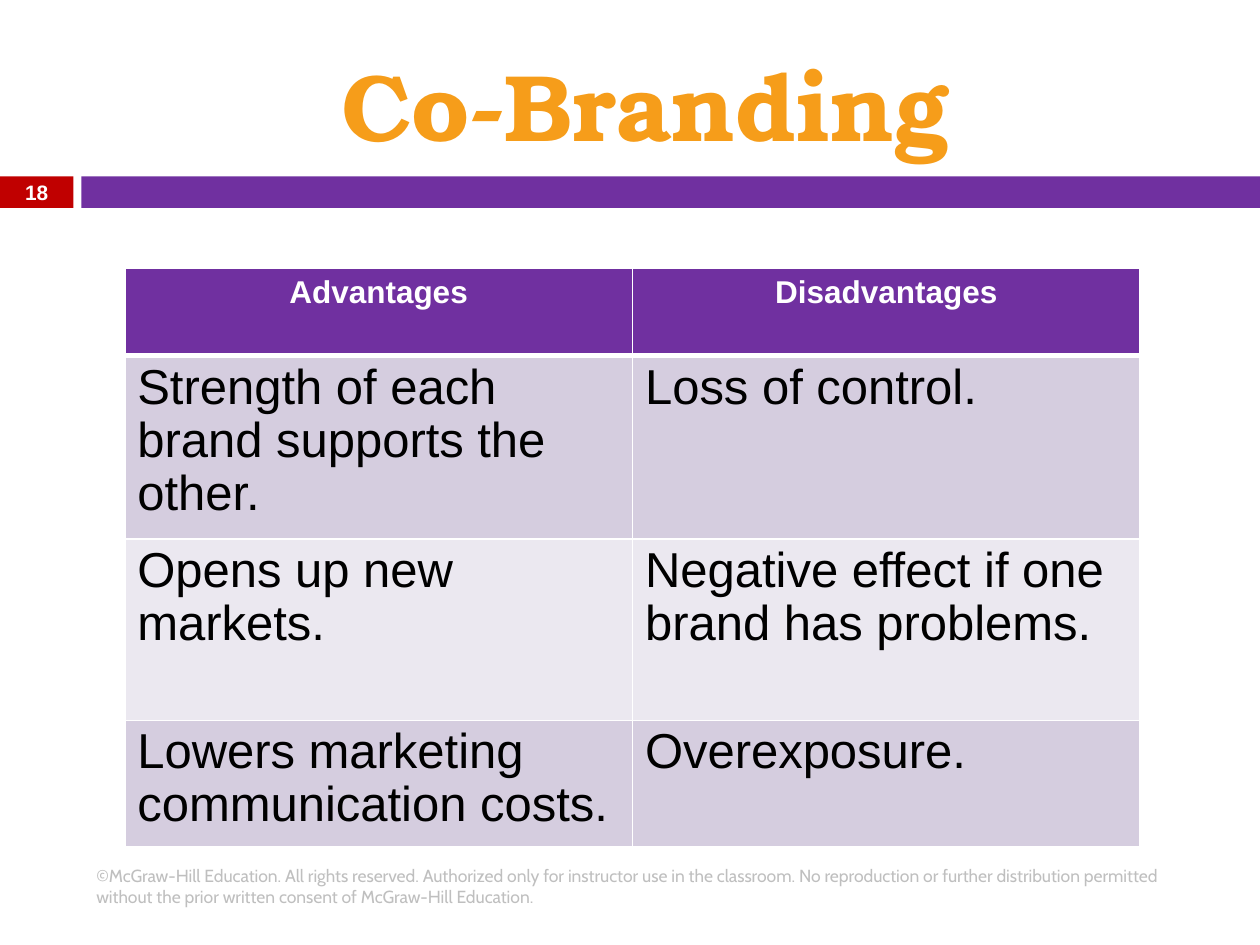
from lxml.etree import SubElement
from pptx import Presentation
from pptx.dml.color import RGBColor
from pptx.enum.shapes import MSO_SHAPE as Shape
from pptx.enum.text import MSO_ANCHOR as Anchor, PP_ALIGN as Align
from pptx.oxml.ns import qn
from pptx.util import Pt

WHITE = RGBColor(0xFF, 0xFF, 0xFF)
BLACK = RGBColor(0x00, 0x00, 0x00)
RED = RGBColor(0xC0, 0x00, 0x00)
PURPLE = RGBColor(0x70, 0x30, 0xA0)
ORANGE = RGBColor(0xF6, 0x9D, 0x1A)
GREY = RGBColor(0xBF, 0xBF, 0xBF)
BANDS = (RGBColor(0xD5, 0xCD, 0xDF), RGBColor(0xEB, 0xE8, 0xF0))

ROWS = (
    ("Advantages", "Disadvantages"),
    ("Strength of each brand supports the other.", "Loss of control."),
    ("Opens up new markets.", "Negative effect if one brand has problems."),
    ("Lowers marketing communication costs.", "Overexposure."),
)
ROW_HEIGHTS = (49.7, 101, 103.5, 69)
COPYRIGHT = (
    "©McGraw-Hill Education. All rights reserved. Authorized only for instructor use "
    "in the classroom. No reproduction or further distribution permitted without the "
    "prior written consent of McGraw-Hill Education."
)


class SlideBuilder:
    body_font = "Arial"
    title_font = "TeX Gyre Bonum"
    footer_font = "Cabin"

    def __init__(self, deck):
        self.page = deck.slides.add_slide(deck.slide_layouts[6])

    def bar(self, left, top, width, height, color):
        shape = self.page.shapes.add_shape(
            Shape.RECTANGLE, Pt(left), Pt(top), Pt(width), Pt(height))
        shape.shadow.inherit = False
        shape.fill.solid()
        shape.fill.fore_color.rgb = color
        shape.line.fill.background()

    def add_span(self, frame, text, font, size, color, bold=False, align=Align.LEFT):
        para = frame.paragraphs[0]
        para.alignment = align
        span = para.add_run()
        span.text = text
        span.font.name = font
        span.font.size = Pt(size)
        span.font.bold = bold
        span.font.color.rgb = color
        return para

    def text(self, left, top, width, height, text, *style, **options):
        box = self.page.shapes.add_textbox(Pt(left), Pt(top), Pt(width), Pt(height))
        frame = box.text_frame
        frame.word_wrap = True
        frame.vertical_anchor = Anchor.MIDDLE
        self.add_span(frame, text, *style, **options)

    def borders(self, cell, bottom):
        properties = cell._tc.get_or_add_tcPr()
        widths = {"a:lnL": 1, "a:lnR": 1, "a:lnT": 1, "a:lnB": bottom}
        for position, (tag, width) in enumerate(widths.items()):
            line = SubElement(properties, qn(tag), w=str(Pt(width)))
            fill = SubElement(line, qn("a:solidFill"))
            SubElement(fill, qn("a:srgbClr"), val=str(WHITE))
            properties.insert(position, line)

    def table(self, left, top, width, rows, heights):
        columns = len(rows[0])
        table = self.page.shapes.add_table(
            len(rows), columns, Pt(left), Pt(top), Pt(width), Pt(sum(heights))).table
        for column in table.columns:
            column.width = Pt(width / columns)
        for row, (texts, height) in enumerate(zip(rows, heights)):
            table.rows[row].height = Pt(height)
            for column, text in enumerate(texts):
                cell = table.cell(row, column)
                header = row == 0
                cell.fill.solid()
                cell.fill.fore_color.rgb = PURPLE if header else BANDS[(row - 1) % 2]
                self.borders(cell, bottom=3 if header else 1)
                if header:
                    self.add_span(cell.text_frame, text, self.body_font, 18, WHITE,
                                  bold=True, align=Align.CENTER)
                else:
                    para = self.add_span(cell.text_frame, text, self.body_font, 28, BLACK)
                    para.line_spacing = 0.97


def main():
    deck = Presentation()
    deck.slide_width, deck.slide_height = Pt(720), Pt(540)
    slide = SlideBuilder(deck)
    slide.bar(0, 100.8, 42, 18, RED)
    slide.bar(46.5, 100.8, 673.5, 18, PURPLE)
    slide.text(48, 18, 642, 82, "Co-Branding", slide.title_font, 54, ORANGE,
               bold=True, align=Align.CENTER)
    slide.text(0, 100, 42, 19.5, "18", slide.body_font, 11.9, WHITE,
               bold=True, align=Align.CENTER)
    slide.text(48, 492, 642, 29, COPYRIGHT, slide.footer_font, 10, GREY)
    slide.table(71.3, 153.4, 580.3, ROWS, ROW_HEIGHTS)
    deck.save("out.pptx")


if __name__ == "__main__":
    main()
